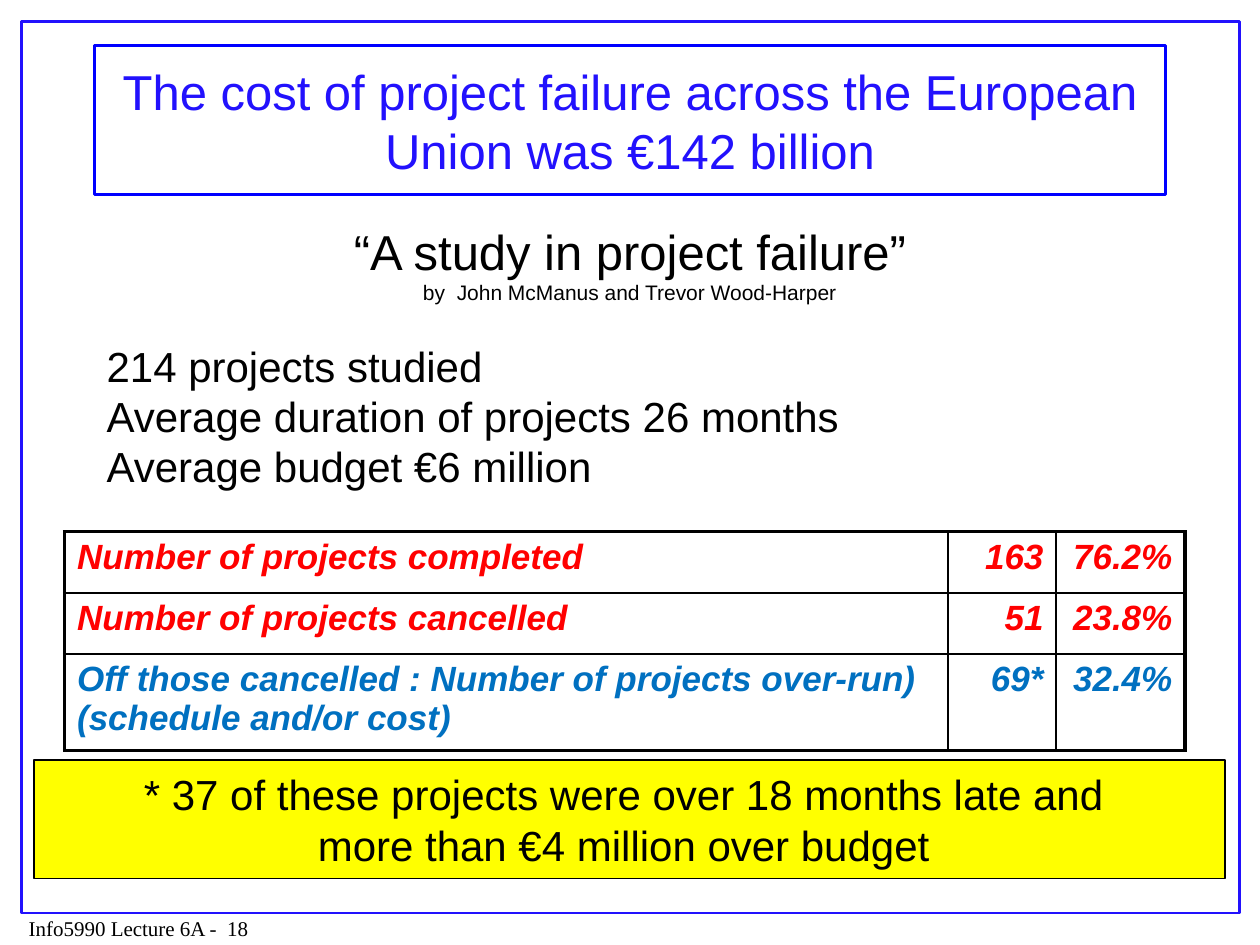
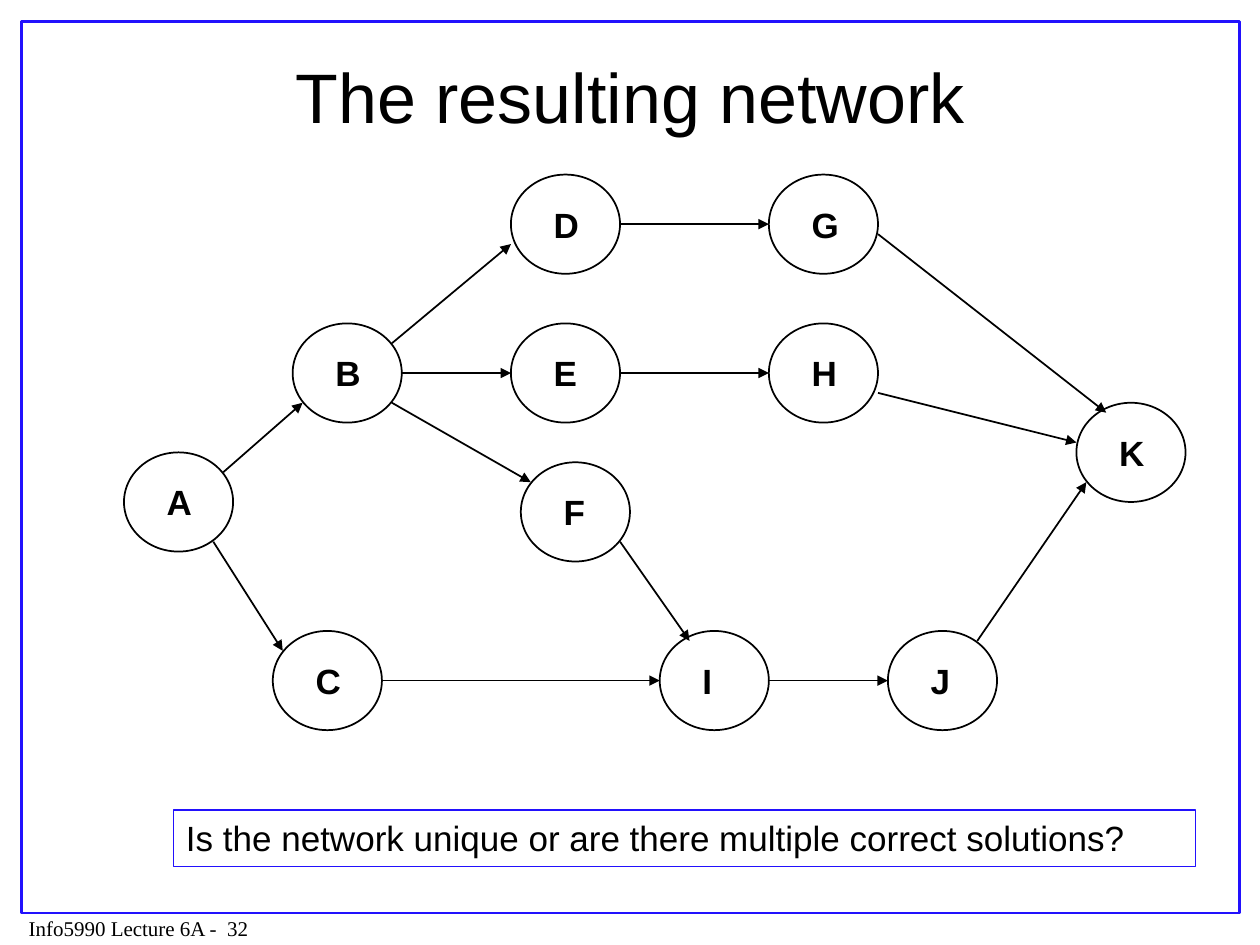
"""Build two lecture slides: the cost of project failure, and a project network."""
from dataclasses import dataclass

from pptx import Presentation
from pptx.dml.color import RGBColor
from pptx.enum.shapes import MSO_CONNECTOR, MSO_SHAPE
from pptx.enum.text import MSO_ANCHOR, PP_ALIGN
from pptx.oxml.ns import qn
from pptx.util import Cm, Pt
from lxml import etree

RECT, OVAL = MSO_SHAPE.RECTANGLE, MSO_SHAPE.OVAL
LINE = MSO_CONNECTOR.STRAIGHT
LEFT, CENTER, RIGHT = PP_ALIGN.LEFT, PP_ALIGN.CENTER, PP_ALIGN.RIGHT
TOP, MIDDLE = MSO_ANCHOR.TOP, MSO_ANCHOR.MIDDLE


@dataclass(frozen=True)
class Theme:
    font: str = "Arial"
    serif: str = "Times New Roman"
    black: str = "000000"
    blue: str = "2211FD"
    edge: str = "0000FF"
    red: str = "FF0000"
    sky: str = "0070C0"
    yellow: str = "FFFF00"
    huge: int = 40
    large: int = 28
    body: int = 24
    label: int = 20
    small: int = 12
    thin: float = 1
    frame: float = 1.5
    thick: float = 2.25


theme = Theme()


def write(text, frame, size=theme.body, color=theme.black, font=theme.font,
          bold=False, italic=False, align=LEFT, anchor=TOP, more=False):
    frame.word_wrap = True
    frame.vertical_anchor = anchor
    para = frame.add_paragraph() if more else frame.paragraphs[0]
    para.text = text
    para.alignment = align
    for run in para.runs:
        run.font.name, run.font.size = font, Pt(size)
        run.font.bold, run.font.italic = bold, italic
        run.font.color.rgb = RGBColor.from_string(color)


def box(slide, place, kind=None, line=None, width=theme.thin, fill=None):
    place = [Cm(n) for n in place]
    if kind is None:
        return slide.shapes.add_textbox(*place).text_frame
    shape = slide.shapes.add_shape(kind, *place)
    shape.shadow.inherit = False
    shape.line.color.rgb = RGBColor.from_string(line)
    shape.line.width = Pt(width)
    if fill:
        shape.fill.solid()
        shape.fill.fore_color.rgb = RGBColor.from_string(fill)
    else:
        shape.fill.background()
    return shape.text_frame


deck = Presentation()
deck.slide_width, deck.slide_height = Cm(25.4), Cm(19.05)
slides = []
for number in (18, 32):
    slide = deck.slides.add_slide(deck.slide_layouts[6])
    write(f"Info5990 Lecture 6A -  {number}", box(slide, (0.33, 18.34, 7.16, 0.76)),
          size=theme.small, font=theme.serif)
    box(slide, (0.43, 0.43, 24.56, 17.98), RECT, theme.blue, theme.frame)
    slides.append(slide)
cost, net = slides

write("The cost of project failure across the European Union was €142 billion",
      box(cost, (1.9, 0.92, 21.6, 3), RECT, theme.edge, theme.frame),
      size=theme.large, color=theme.blue, align=CENTER, anchor=MIDDLE)

study = box(cost, (1.1, 4.11, 23.2, 2.39))
write("“A study in project failure”", study, size=theme.large, align=CENTER, anchor=MIDDLE)
write("by  John McManus and Trevor Wood-Harper", study, size=theme.small,
      align=CENTER, anchor=MIDDLE, more=True)
write("214 projects studied\nAverage duration of projects 26 months\n"
      "Average budget €6 million", box(cost, (1.9, 6.73, 21.3, 3.3)))
write("* 37 of these projects were over 18 months late and \n"
      "more than €4 million over budget ",
      box(cost, (0.69, 15.32, 24, 2.39), RECT, theme.black, fill=theme.yellow),
      align=CENTER, anchor=MIDDLE)

rows = [
    (theme.red, "Number of projects completed", "163", "76.2%"),
    (theme.red, "Number of projects cancelled", "51", "23.8%"),
    (theme.sky, "Off those cancelled : Number of projects over-run) (schedule and/or cost)",
     "69*", "32.4%"),
]
widths, heights = (17.81, 2.18, 2.6), (1.23, 1.23, 1.8)
table = cost.shapes.add_table(3, 3, Cm(1.3), Cm(10.72), Cm(sum(widths)), Cm(sum(heights))).table
table.first_row = table.horz_banding = False
for column, width in zip(table.columns, widths):
    column.width = Cm(width)
for r, (color, *texts) in enumerate(rows):
    table.rows[r].height = Cm(heights[r])
    for c, text in enumerate(texts):
        cell = table.cell(r, c)
        write(text, cell.text_frame, size=theme.label, color=color, bold=True,
              italic=True, align=RIGHT if c else LEFT)
        props = cell._tc.get_or_add_tcPr()
        outer = {"lnL": c == 0, "lnR": c == 2, "lnT": r == 0, "lnB": r == 2}
        for side, edge in outer.items():
            weight = Pt(theme.thick if edge else theme.thin)
            line = etree.SubElement(props, qn(f"a:{side}"), w=str(weight))
            paint = etree.SubElement(line, qn("a:solidFill"))
            etree.SubElement(paint, qn("a:srgbClr"), val=theme.black)
        cell.fill.background()

write("The resulting network", box(net, (1.9, 0.92, 21.6, 2)),
      size=theme.huge, align=CENTER, anchor=MIDDLE)

nodes = {
    "A": (2.5, 9.12), "B": (5.9, 6.52), "C": (5.5, 12.72), "D": (10.3, 3.52),
    "E": (10.3, 6.52), "F": (10.5, 9.32), "G": (15.5, 3.52), "H": (15.5, 6.52),
    "I": (13.3, 12.72), "J": (17.9, 12.72), "K": (21.7, 8.12),
}
step = 0.2
for name, (x, y) in nodes.items():
    frame = box(net, (x, y, 11 * step, 10 * step), OVAL, theme.black)
    frame.margin_left, frame.margin_right = Cm(0.54), 0
    write(name, frame, size=theme.label, bold=True, anchor=MIDDLE)

level = (11, 5), (0, 5)
links = {
    "AB": ((10, 2), (1, 8)), "BD": ((10, 2), (0, 7)), "BE": level,
    "BF": ((10, 8), (1, 2)), "CI": level, "AC": ((9, 9), (1, 2)),
    "DG": level, "EH": level, "FI": ((10, 8), (3, 1)), "IJ": level,
    "JK": ((9, 1), (1, 8)), "HK": ((11, 7), (0, 4)), "GK": ((11, 6), (3, 1)),
}
for pair, ports in links.items():
    ends = [Cm(base + step * port) for name, spot in zip(pair, ports)
            for base, port in zip(nodes[name], spot)]
    arrow = net.shapes.add_connector(LINE, *ends)
    arrow.line.color.rgb = RGBColor.from_string(theme.black)
    arrow.line.width = Pt(theme.thin)
    etree.SubElement(arrow.line._get_or_add_ln(), qn("a:tailEnd"), type="triangle")
    etree.SubElement(arrow._element.spPr, qn("a:effectLst"))

write("Is the network unique or are there multiple correct solutions?",
      box(net, (3.5, 16.33, 20.6, 1.14), RECT, theme.blue), size=theme.label)

deck.save("out.pptx")
